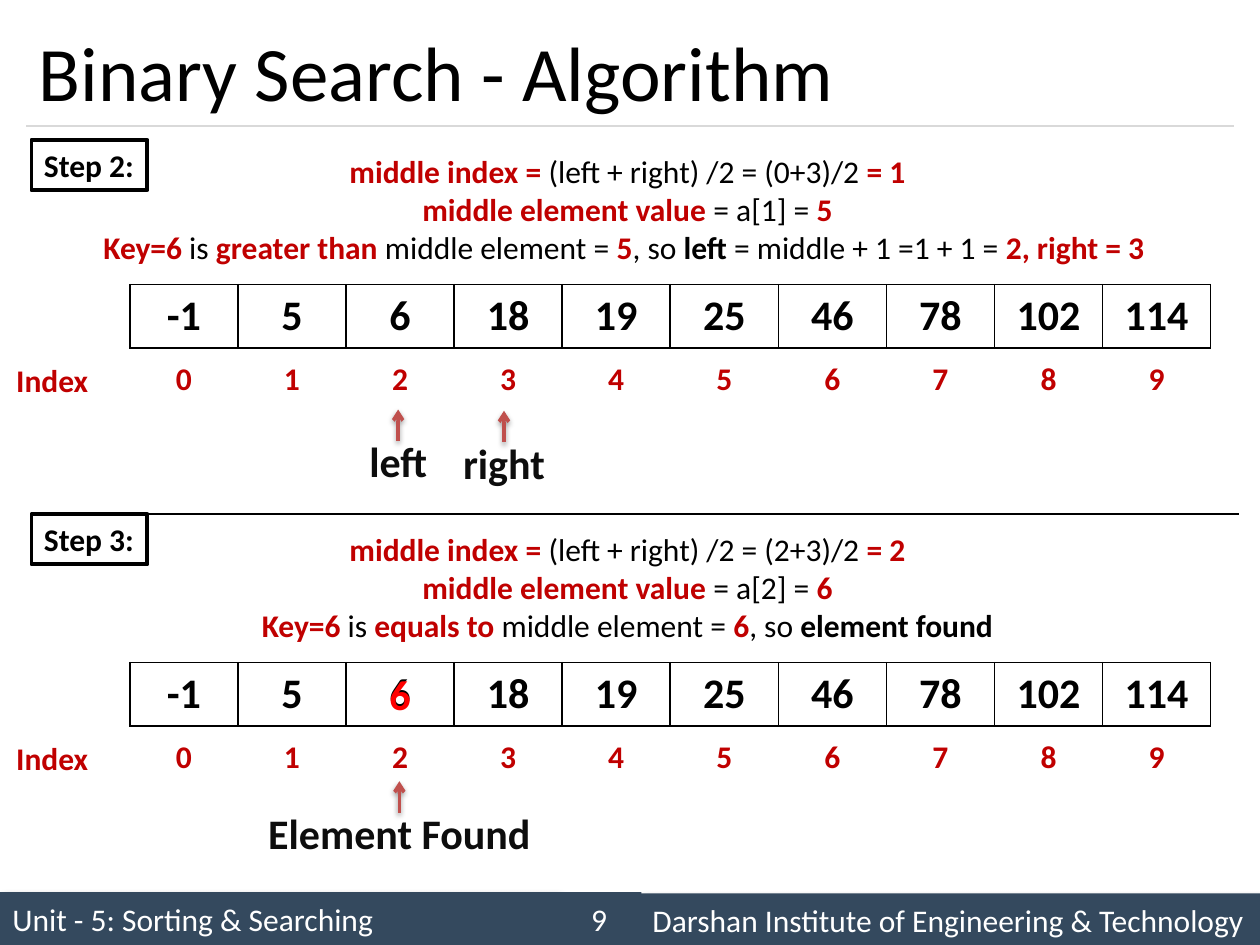
"""Build the binary search slide showing steps 2 and 3."""
from lxml.etree import SubElement
from pptx import Presentation
from pptx.dml.color import RGBColor
from pptx.enum.shapes import MSO_CONNECTOR, MSO_SHAPE
from pptx.enum.text import MSO_ANCHOR as ANCHOR, PP_ALIGN as ALIGN
from pptx.oxml import parse_xml
from pptx.oxml.ns import nsdecls, qn
from pptx.util import Inches, Pt

BLACK, WHITE = RGBColor(0, 0, 0), RGBColor(255, 255, 255)
DARK, RED = RGBColor(0x0D, 0x0D, 0x0D), RGBColor(0xC0, 0, 0)
BRIGHT, SLATE = RGBColor(0xFF, 0, 0), RGBColor(0x34, 0x49, 0x5E)
GREY, ARROW = RGBColor(0xD9, 0xD9, 0xD9), RGBColor(0xC0, 0x50, 0x4D)

PLAIN = dict(size=Pt(18), color=BLACK, bold=False)
STRONG = dict(PLAIN, bold=True)
KEY = dict(STRONG, color=RED)
VALUE = dict(STRONG, size=Pt(24))
POINTER = dict(VALUE, color=DARK)
FOUND = dict(VALUE, color=BRIGHT)
FOOT = dict(PLAIN, color=WHITE)
TITLE = dict(PLAIN, size=Pt(44))

VALUES = [-1, 5, 6, 18, 19, 25, 46, 78, 102, 114]
COL, LEFT = 0.858, 1.03
FOOTERS = [
    ("Unit - 5: Sorting & Searching", 0, 7.08, 4.42, ALIGN.LEFT, True),
    ("Darshan Institute of Engineering & Technology", 5.08, 7.09, 4.92, ALIGN.LEFT, True),
    ("9", 4.42, 7.08, 0.67, ALIGN.CENTER, False),
]
STEPS = [
    dict(
        label="Step 2:", label_top=1.11, top=2.26, lines_box=(0.6, 1.16, 8.76),
        lines=[
            [("middle index =", KEY), (" (left + right) /2 = (0+3)/2 ", PLAIN), ("= 1", KEY)],
            [("middle element value ", KEY), ("= a[1] = ", PLAIN), ("5", KEY)],
            [("Key=6", KEY), (" is ", PLAIN), ("greater than ", KEY),
             ("middle element = ", PLAIN), ("5", KEY), (", so ", PLAIN), ("left ", STRONG),
             ("= middle + 1 =1 + 1 = ", PLAIN), ("2, right = 3 ", KEY)],
        ],
        pointers=[("left", 3.16, 3.25, 0.68), ("right", 4, 3.26, 0.86)],
    ),
    dict(
        label="Step 3:", label_top=4.08, top=5.26, lines_box=(1.95, 4.16, 6.06),
        lines=[
            [("middle index =", KEY), (" (left + right) /2 = (2+3)/2 ", PLAIN), ("= 2", KEY)],
            [("middle element value ", KEY), ("= a[2] = ", PLAIN), ("6", KEY)],
            [("Key=6", KEY), (" is ", PLAIN), ("equals to ", KEY),
             ("middle element = ", PLAIN), ("6", KEY), (", so ", PLAIN),
             ("element found", STRONG)],
        ],
        pointers=[("Element Found", 3.17, 6.2, 2.31)],
    ),
]


def write(tf, lines, align=ALIGN.LEFT):
    for i, line in enumerate(lines):
        p = tf.paragraphs[0] if i == 0 else tf.add_paragraph()
        p.alignment = align
        for text, style in line:
            r = p.add_run()
            r.text = text
            r.font.name = "Calibri"
            r.font.color.rgb = style["color"]
            for name in ("size", "bold"):
                setattr(r.font, name, style[name])


def add_text(s, box, lines, align=ALIGN.LEFT, anchor=ANCHOR.TOP, wrap=False):
    sp = s.shapes.add_textbox(*map(Inches, box))
    sp.text_frame.word_wrap = wrap
    sp.text_frame.vertical_anchor = anchor
    write(sp.text_frame, lines, align)


def add_shadow(sp, alpha, blur, dist, angle):
    sp._element.spPr.append(parse_xml(
        f'<a:effectLst {nsdecls("a")}><a:outerShdw blurRad="{Pt(blur)}" dist="{Pt(dist)}" '
        f'dir="{angle * 60000}" rotWithShape="0"><a:srgbClr val="000000">'
        f'<a:alpha val="{alpha * 1000}"/></a:srgbClr></a:outerShdw></a:effectLst>'))


def add_line(s, start, end, color, width, arrow=False):
    sp = s.shapes.add_connector(MSO_CONNECTOR.STRAIGHT, *map(Inches, start + end))
    sp.line.color.rgb = color
    sp.line.width = Pt(width)
    if arrow:
        SubElement(sp.line._get_or_add_ln(), qn("a:tailEnd"), type="arrow")
        add_shadow(sp, 38, 3.1, 1.6, 90)
    else:
        SubElement(sp._element.spPr, qn("a:effectLst"))


def add_rect(s, box):
    sp = s.shapes.add_shape(MSO_SHAPE.RECTANGLE, *map(Inches, box))
    sp.shadow.inherit = False
    return sp


def add_footer(s, text, left, top, width, align, shadowed):
    sp = add_rect(s, (left, top, width, 0.42))
    sp.fill.solid()
    sp.fill.fore_color.rgb = SLATE
    sp.line.fill.background()
    if shadowed:
        sp._element.spPr.remove(sp._element.spPr.find(qn("a:effectLst")))
        add_shadow(sp, 40, 4, 3, 45)
    sp.text_frame.vertical_anchor = ANCHOR.MIDDLE
    write(sp.text_frame, [[(text, FOOT)]], align)


def add_row(s, top, height, values, style, bordered):
    frame = s.shapes.add_table(1, len(values), Inches(LEFT), Inches(top),
                               Inches(COL * len(values)), Inches(height))
    table = frame.table
    table.first_row = table.horz_banding = False
    table._tbl.tblPr.find(qn("a:tableStyleId")).text = "{2D5ABB26-0587-4C30-8999-92F81FD0307C}"
    for cell, value in zip(table.iter_cells(), values):
        cell.fill.background()
        write(cell.text_frame, [[(str(value), style)]], ALIGN.CENTER)
        for i, side in enumerate("LRTB" if bordered else ""):
            cell._tc.tcPr.insert(i, parse_xml(
                f'<a:ln{side} {nsdecls("a")} w="{Pt(1)}"><a:solidFill>'
                f'<a:srgbClr val="{BLACK}"/></a:solidFill></a:ln{side}>'))


def add_step(s, step):
    left, top, width = step["lines_box"]
    add_text(s, (left, top, width, 1.01), step["lines"], ALIGN.CENTER)
    add_row(s, step["top"], 0.5, VALUES, VALUE, True)
    add_row(s, step["top"] + 0.55, 0.41, range(len(VALUES)), KEY, False)
    add_text(s, (0.03, step["top"] + 0.56, 0.78, 0.4), [[("Index", KEY)]])
    for text, x, tip, width in step["pointers"]:
        add_text(s, (x - width / 2, tip + 0.16, width, 0.5), [[(text, POINTER)]], ALIGN.CENTER)
        add_line(s, (x, tip + 0.25), (x, tip), ARROW, 2, arrow=True)
    sp = add_rect(s, (0.25, step["label_top"], 0.92, 0.4))
    sp.fill.background()
    sp.line.color.rgb = BLACK
    sp.line.width = Pt(2.25)
    sp.text_frame.word_wrap = False
    sp.text_frame.vertical_anchor = ANCHOR.TOP
    write(sp.text_frame, [[(step["label"], STRONG)]])


def main():
    prs = Presentation()
    prs.slide_width, prs.slide_height = Inches(10), Inches(7.5)
    s = prs.slides.add_slide(prs.slide_layouts[6])
    for footer in FOOTERS:
        add_footer(s, *footer)
    add_line(s, (0.21, 1), (9.79, 1), GREY, 0.75)
    add_text(s, (0.21, 0.12, 9.58, 0.88), [[("Binary Search - Algorithm", TITLE)]],
             anchor=ANCHOR.MIDDLE, wrap=True)
    add_line(s, (0.25, 4.08), (9.83, 4.08), BLACK, 0.75)
    for step in STEPS:
        add_step(s, step)
    add_text(s, (2.99, 5.26, 0.37, 0.5), [[("6", FOUND)]], ALIGN.CENTER)
    prs.save("out.pptx")


if __name__ == "__main__":
    main()
